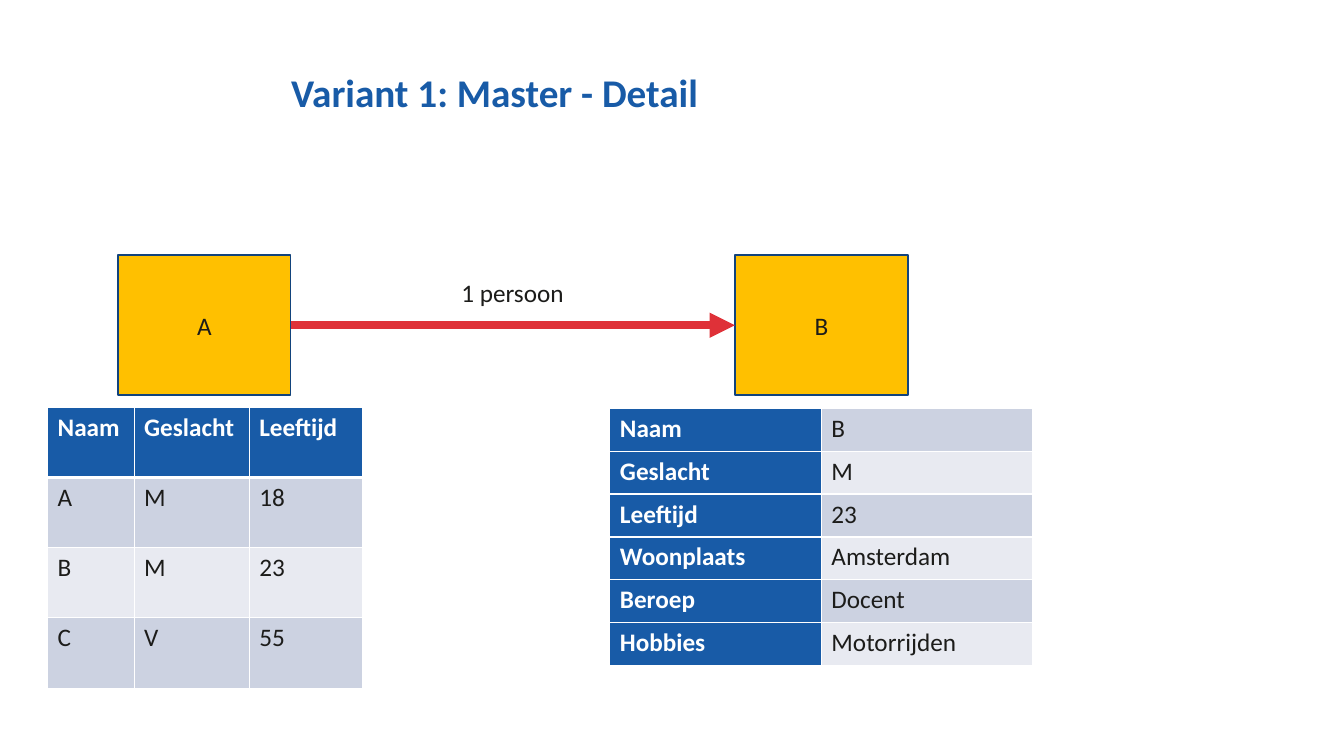
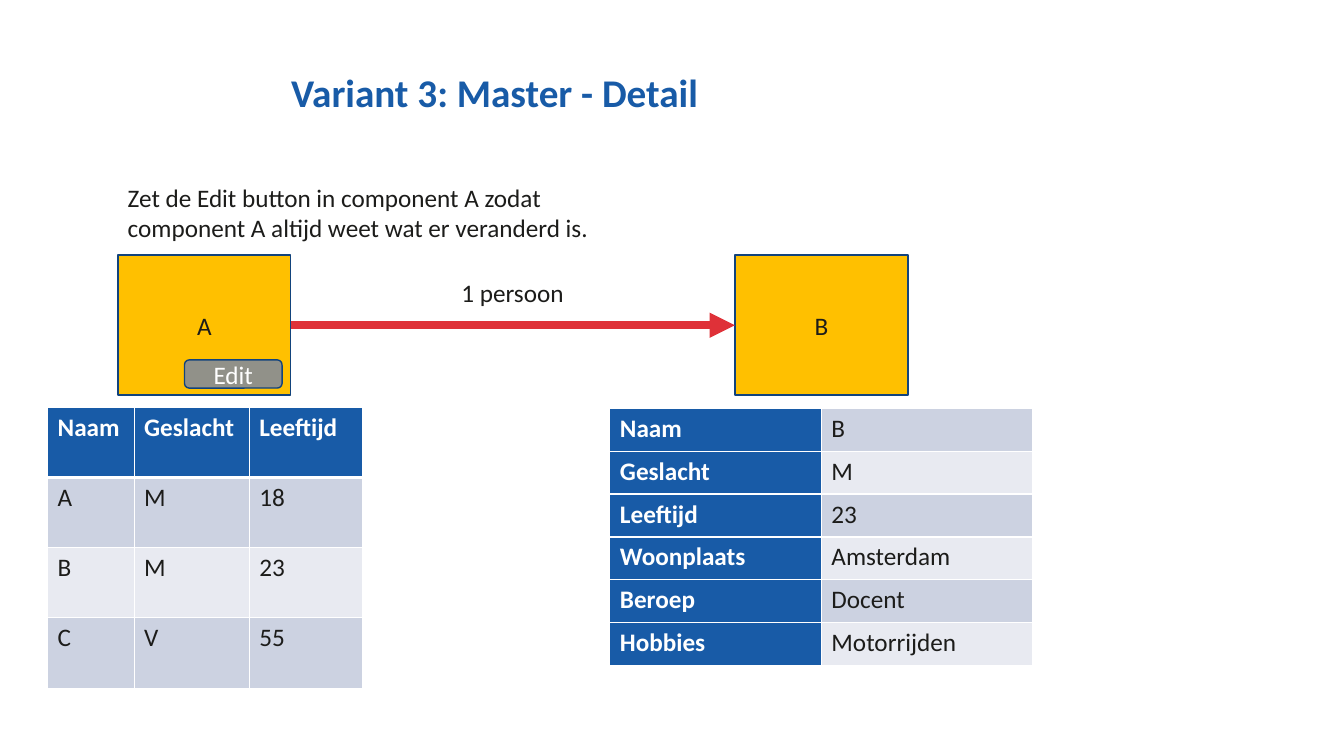
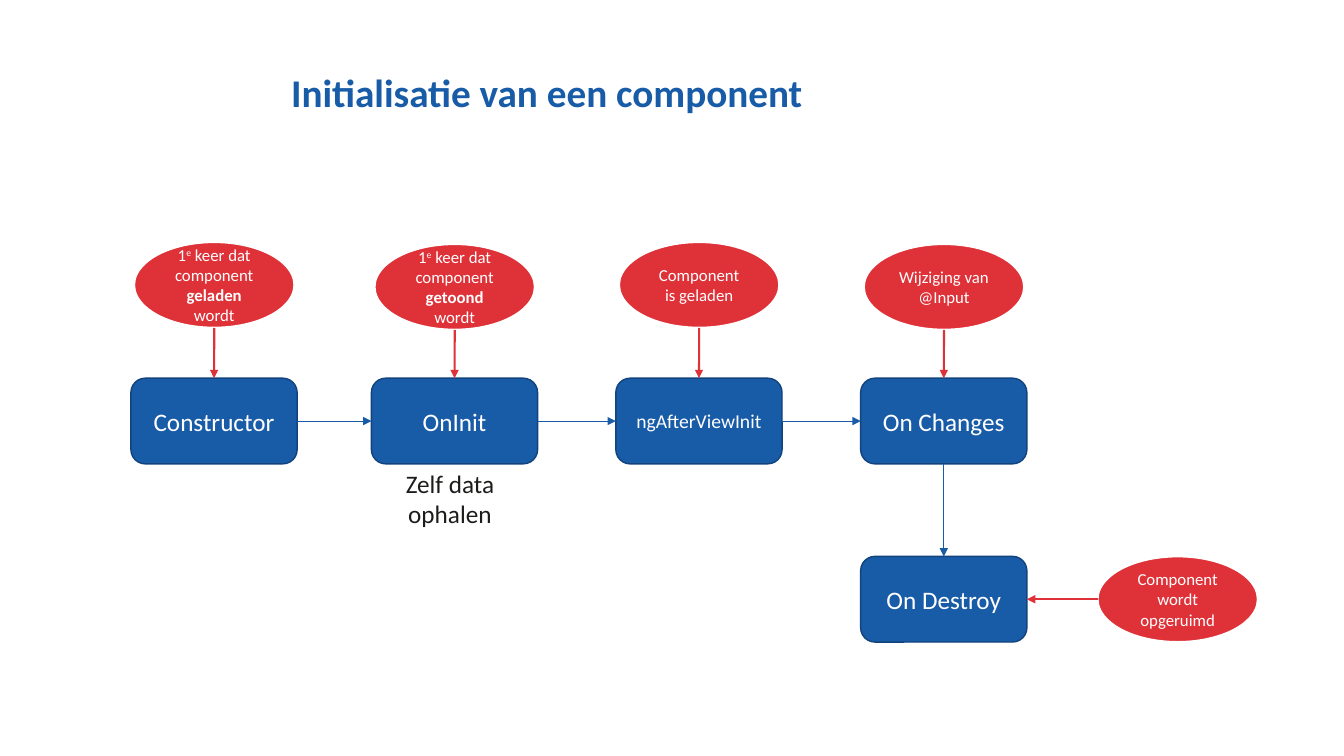
"""Build three slides on master-detail components and their life cycle."""
from dataclasses import dataclass

from lxml.etree import SubElement
from pptx import Presentation
from pptx.dml.color import RGBColor
from pptx.enum.shapes import MSO_CONNECTOR, MSO_SHAPE
from pptx.enum.text import MSO_ANCHOR, MSO_AUTO_SIZE, PP_ALIGN
from pptx.oxml.ns import qn
from pptx.util import Cm, Pt


@dataclass(frozen=True)
class Theme:
    """Colours, font and type sizes of the deck."""
    blue: str = "185BA7"
    navy: str = "12437C"
    red: str = "DF3138"
    amber: str = "FFC000"
    grey: str = "919189"
    ink: str = "1C1C1A"
    white: str = "FFFFFF"
    bands: tuple = ("CCD2E1", "E8EAF1")
    font: str = "Calibri"
    title: int = 28
    body: int = 18
    label: int = 14
    note: int = 12


T = Theme()
MASTER = [("Naam", "Geslacht", "Leeftijd"), ("A", "M", 18), ("B", "M", 23), ("C", "V", 55)]
DETAIL = [("Naam", "B"), ("Geslacht", "M"), ("Leeftijd", 23), ("Woonplaats", "Amsterdam"),
          ("Beroep", "Docent"), ("Hobbies", "Motorrijden")]


def rgb(color):
    """Turn a hex string into a colour."""
    return RGBColor.from_string(color)


def cm(*lengths):
    """Turn numbers into centimetre lengths."""
    return [Cm(n) for n in lengths]


def first_time(event):
    """Return the runs that tell what happens the first time."""
    return [("1", {}), ("e", {"raised": True}), (" keer dat component ", {}),
            (event, {"bold": True}), (" wordt", {})]


def write(tf, text, size=T.body, color=T.ink, bold=False, align=PP_ALIGN.LEFT, spacing=None):
    """Write a string or a list of formatted runs as one paragraph."""
    p = tf.paragraphs[0]
    p.alignment = align
    p.line_spacing = spacing
    for part, form in [(text, {})] if isinstance(text, str) else text:
        r = p.add_run()
        r.text = part
        r.font.name = T.font
        r.font.size = Pt(size)
        r.font.bold = form.get("bold", bold)
        r.font.color.rgb = rgb(color)
        if form.get("raised"):
            r.font._element.set("baseline", "30000")


def add_title(s, text):
    """Add the slide title."""
    tf = s.shapes.add_textbox(*cm(7.34, 1.9, 23.85, 0.97)).text_frame
    tf.margin_left = tf.margin_right = tf.margin_top = tf.margin_bottom = 0
    tf.word_wrap = True
    tf.vertical_anchor = MSO_ANCHOR.MIDDLE
    write(tf, text, size=T.title, color=T.blue, bold=True, spacing=0.9)


def add_text(s, text, at, wrap=True, **form):
    """Add a text box that grows with its text."""
    tf = s.shapes.add_textbox(*cm(*at)).text_frame
    tf.word_wrap = wrap
    tf.auto_size = MSO_AUTO_SIZE.SHAPE_TO_FIT_TEXT
    write(tf, text, **form)


def add_box(s, kind, text, at, fill, line=T.navy, width=1, **form):
    """Add a filled shape with centred text."""
    sp = s.shapes.add_shape(kind, *cm(*at))
    sp.shadow.inherit = False
    sp.fill.solid()
    sp.fill.fore_color.rgb = rgb(fill)
    sp.line.color.rgb = rgb(line)
    sp.line.width = Pt(width)
    sp.text_frame.word_wrap = True
    sp.text_frame.vertical_anchor = MSO_ANCHOR.MIDDLE
    write(sp.text_frame, text, align=PP_ALIGN.CENTER, **form)
    return sp


def add_step(s, text, x, y, size=T.body):
    """Add a life cycle step."""
    return add_box(s, MSO_SHAPE.ROUNDED_RECTANGLE, text, (x, y, 4.19, 2.16), T.blue,
                   size=size, color=T.white)


def add_event(s, text, x, y):
    """Add the event that triggers a step."""
    return add_box(s, MSO_SHAPE.OVAL, text, (x, y, 4.04, 2.16), T.red,
                   line=T.white, width=1.5, size=T.note, color=T.white)


def edge(sp, side):
    """Return the middle of one side of a shape."""
    fx, fy = {"top": (0.5, 0), "left": (0, 0.5), "bottom": (0.5, 1), "right": (1, 0.5)}[side]
    return int(sp.left + fx * sp.width), int(sp.top + fy * sp.height)


def add_arrow(s, start, end, color=T.blue, width=0.5):
    """Draw an arrow between two points."""
    cx = s.shapes.add_connector(MSO_CONNECTOR.STRAIGHT, *start, *end)
    cx.line.color.rgb = rgb(color)
    cx.line.width = Pt(width)
    SubElement(cx.line._get_or_add_ln(), qn("a:tailEnd"), type="triangle")
    SubElement(cx._element.spPr, qn("a:effectLst"))


def add_borders(cell, **widths):
    """Give a cell white borders, one point wide unless a side says otherwise."""
    for side in "LRTB":
        ln = SubElement(cell._tc.get_or_add_tcPr(), qn(f"a:ln{side}"),
                        w=str(Pt(widths.get(side, 1))))
        SubElement(SubElement(ln, qn("a:solidFill")), qn("a:srgbClr"), val=T.white)


def add_grid(s, rows, x, y, widths, height, head_row):
    """Add a banded table headed by its first row or its first column."""
    frame = s.shapes.add_table(len(rows), len(widths),
                               *cm(x, y, sum(widths), height * len(rows)))
    table = frame.table
    table.first_row, table.first_col = head_row, not head_row
    for column, width in zip(table.columns, widths):
        column.width = Cm(width)
    for i, row in enumerate(rows):
        table.rows[i].height = Cm(height)
        for j, value in enumerate(row):
            head = (i if head_row else j) == 0
            cell = table.cell(i, j)
            rule = {0: {"B": 3}, 1: {"T": 3}}.get(i, {}) if head_row else {}
            add_borders(cell, **rule)
            cell.fill.solid()
            cell.fill.fore_color.rgb = rgb(T.blue if head else T.bands[(i - head_row) % 2])
            write(cell.text_frame, str(value), color=T.white if head else T.ink, bold=head)


def add_slide(prs, title):
    """Add a blank slide with a title."""
    s = prs.slides.add_slide(prs.slide_layouts[6])
    add_title(s, title)
    return s


def add_variant(prs, number):
    """Add a master-detail slide."""
    s = add_slide(prs, f"Variant {number}: Master - Detail")
    master, detail = [add_box(s, MSO_SHAPE.RECTANGLE, name, (x, 6.43, 4.36, 3.53), T.amber)
                      for name, x in (("A", 2.97), ("B", 18.52))]
    add_arrow(s, edge(master, "right"), edge(detail, "left"), T.red, 6)
    add_text(s, "1 persoon", (11.38, 6.86, 3.12, 1.02), wrap=False)
    add_grid(s, MASTER, 1.2, 10.26, (2.18, 2.9, 2.87), 1.77, head_row=True)
    add_grid(s, DETAIL, 15.37, 10.29, (5.33, 5.33), 1.08, head_row=False)
    return s


def add_edit(s):
    """Add the edit button and its explanation."""
    add_box(s, MSO_SHAPE.ROUNDED_RECTANGLE, "Edit", (4.65, 9.07, 2.46, 0.71), T.grey,
            color=T.white)
    add_text(s, "Zet de Edit button in component A zodat component A altijd weet "
                "wat er veranderd is.", (2.97, 4.47, 12.6, 1.8))


def add_life_cycle(prs):
    """Add the component life cycle slide."""
    s = add_slide(prs, "Initialisatie van een component")
    stages = [("Constructor", T.body, 3.3, first_time("geladen"), 6.1),
              ("OnInit", T.body, 9.36, first_time("getoond"), 6.15),
              ("ngAfterViewInit", T.label, 15.52, "Component is geladen", 6.1),
              ("On Changes", T.body, 21.69, "Wijziging van @Input", 6.15)]
    steps = []
    for name, size, x, trigger, y in stages:
        steps.append(add_step(s, name, x, 9.53, size))
        event = add_event(s, trigger, x + 0.08, y)
        add_arrow(s, edge(event, "bottom"), edge(steps[-1], "top"), T.red, 1.5)
    for step, following in zip(steps, steps[1:]):
        add_arrow(s, edge(step, "right"), edge(following, "left"))
    destroy = add_step(s, "On Destroy", 21.69, 14.02)
    add_arrow(s, edge(steps[-1], "bottom"), edge(destroy, "top"))
    cleanup = add_event(s, "Component wordt opgeruimd", 27.66, 14.02)
    add_arrow(s, edge(cleanup, "left"), edge(destroy, "right"), T.red, 1.5)
    add_text(s, "Zelf data ophalen", (9.7, 11.68, 3.28, 1.8), align=PP_ALIGN.CENTER)


def main():
    """Build and save the deck."""
    prs = Presentation()
    prs.slide_width, prs.slide_height = cm(33.87, 19.05)
    add_variant(prs, 1)
    add_edit(add_variant(prs, 3))
    add_life_cycle(prs)
    prs.save("out.pptx")


if __name__ == "__main__":
    main()
